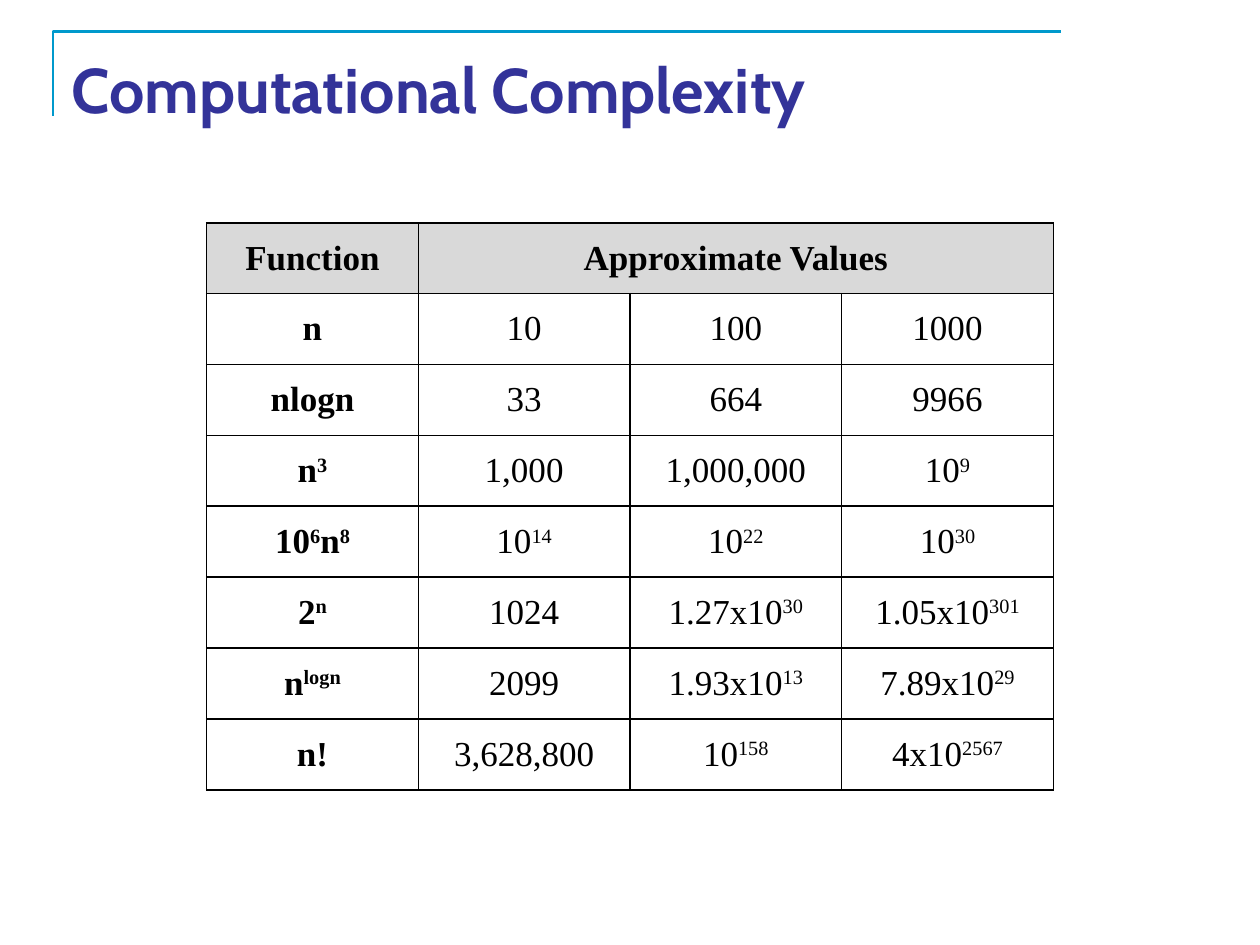
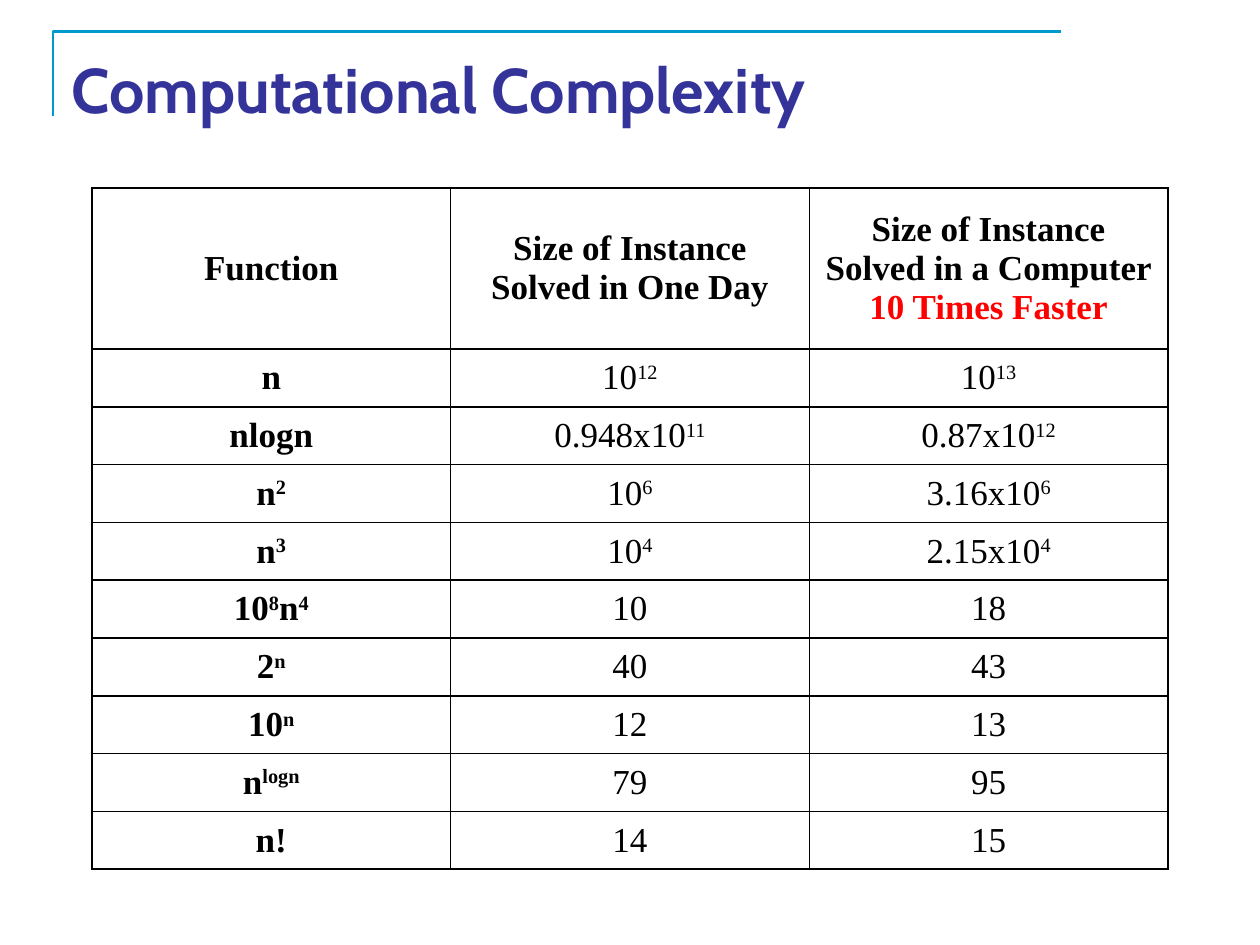
import pptx
import pptx.util
import pptx.dml.color
import pptx.enum.text
import pptx.oxml
import pptx.oxml.ns
import lxml.etree

Inches = pptx.util.Inches
Pt = pptx.util.Pt
Align = pptx.enum.text.PP_ALIGN
Anchor = pptx.enum.text.MSO_ANCHOR

HEX = {"title": "333399", "frame": "0099CC", "text": "000000",
       "alert": "FF0000", "head": "D9D9D9", "cell": "FFFFFF"}
FONT = {"title": "Cabin", "table": "Times New Roman"}

TITLE = "Computational Complexity"
FRAME = [(0.42, 0.92), (0.42, 0.25), (8.42, 0.25)]

# ^ marks a superscript, * marks an alert
TABLES = [
    {"box": (1.64, 1.77, 6.72, 4.5), "top": 0.56, "head": "head", "rows": [
        ["Function", "Approximate Values"],
        ["n", "10", "100", "1000"],
        ["nlogn", "33", "664", "9966"],
        ["n^3^", "1,000", "1,000,000", "10^9^"],
        ["10^6^n^8^", "10^14^", "10^22^", "10^30^"],
        ["2^n^", "1024", "1.27x10^30^", "1.05x10^301^"],
        ["n^logn^", "2099", "1.93x10^13^", "7.89x10^29^"],
        ["n!", "3,628,800", "10^158^", "4x10^2567^"],
    ]},
    {"box": (0.73, 1.49, 8.54, 5.41), "top": 1.28, "head": "cell", "rows": [
        ["Function", "Size of Instance Solved in One Day",
         "Size of Instance Solved in a Computer *10 Times Faster*"],
        ["n", "10^12^", "10^13^"],
        ["nlogn", "0.948x10^11^", "0.87x10^12^"],
        ["n^2^", "10^6^", "3.16x10^6^"],
        ["n^3^", "10^4^", "2.15x10^4^"],
        ["10^8^n^4^", "10", "18"],
        ["2^n^", "40", "43"],
        ["10^n^", "12", "13"],
        ["n^logn^", "79", "95"],
        ["n!", "14", "15"],
    ]},
]


def tint(name):
    return pptx.dml.color.RGBColor.from_string(HEX[name])


def style(font, face, size, color, bold):
    font.name = face
    font.size = Pt(size)
    font.color.rgb = tint(color)
    font.bold = bold


def add_title(slide):
    title = slide.shapes.title
    title.left, title.top, title.width, title.height = map(
        Inches, (0.47, 0.31, 9, 0.78))
    frame = title.text_frame
    frame.text = TITLE
    frame.vertical_anchor = Anchor.MIDDLE
    para = frame.paragraphs[0]
    para.alignment = Align.LEFT
    style(para.font, FONT["title"], 36, "title", True)


def add_frame(slide):
    pts = [(Inches(x), Inches(y)) for x, y in FRAME]
    pen = slide.shapes.build_freeform(*pts[0])
    pen.add_line_segments(pts[1:], close=False)
    line = pen.convert_to_shape()
    line.shadow.inherit = False
    line.fill.background()
    line.line.color.rgb = tint("frame")
    line.line.width = Pt(1.5)


def add_edges(cell):
    props = cell._tc.get_or_add_tcPr()
    for i, side in enumerate(("lnL", "lnR", "lnT", "lnB")):
        edge = pptx.oxml.parse_xml(
            f'<a:{side} {pptx.oxml.ns.nsdecls("a")} w="12700"><a:solidFill>'
            f'<a:srgbClr val="{HEX["text"]}"/></a:solidFill></a:{side}>')
        props.insert(i, edge)


def write(cell, text, bold):
    para = cell.text_frame.paragraphs[0]
    para.alignment = Align.CENTER
    style(para.font, FONT["table"], 20, "text", bold)
    for i, part in enumerate(text.split("*")):
        for j, piece in enumerate(part.split("^")):
            if not piece:
                continue
            run = para.add_run()
            run.text = piece
            if i % 2:
                run.font.color.rgb = tint("alert")
            if j % 2:
                run._r.get_or_add_rPr().set("baseline", "30000")


def add_grid(slide, data):
    rows = data["rows"]
    count, wide = len(rows), len(rows[-1])
    left, top, width, height = data["box"]
    grid = slide.shapes.add_table(
        count, wide, *map(Inches, data["box"])).table
    for col in grid.columns:
        col.width = Inches(width / wide)
    for row in grid.rows:
        row.height = Inches((height - data["top"]) / (count - 1))
    grid.rows[0].height = Inches(data["top"])
    for r, row in enumerate(rows):
        for c in range(wide):
            cell = grid.cell(r, c)
            cell.vertical_anchor = Anchor.MIDDLE
            cell.fill.solid()
            cell.fill.fore_color.rgb = tint("cell" if r else data["head"])
            add_edges(cell)
            if c < len(row):
                write(cell, row[c], r == 0 or c == 0)
        if len(row) < wide:
            grid.cell(r, len(row) - 1).merge(grid.cell(r, wide - 1))


deck = pptx.Presentation()
deck.slide_width, deck.slide_height = Inches(10), Inches(7.5)
for data in TABLES:
    slide = deck.slides.add_slide(deck.slide_layouts[5])
    add_frame(slide)
    add_title(slide)
    add_grid(slide, data)
deck.save("out.pptx")
